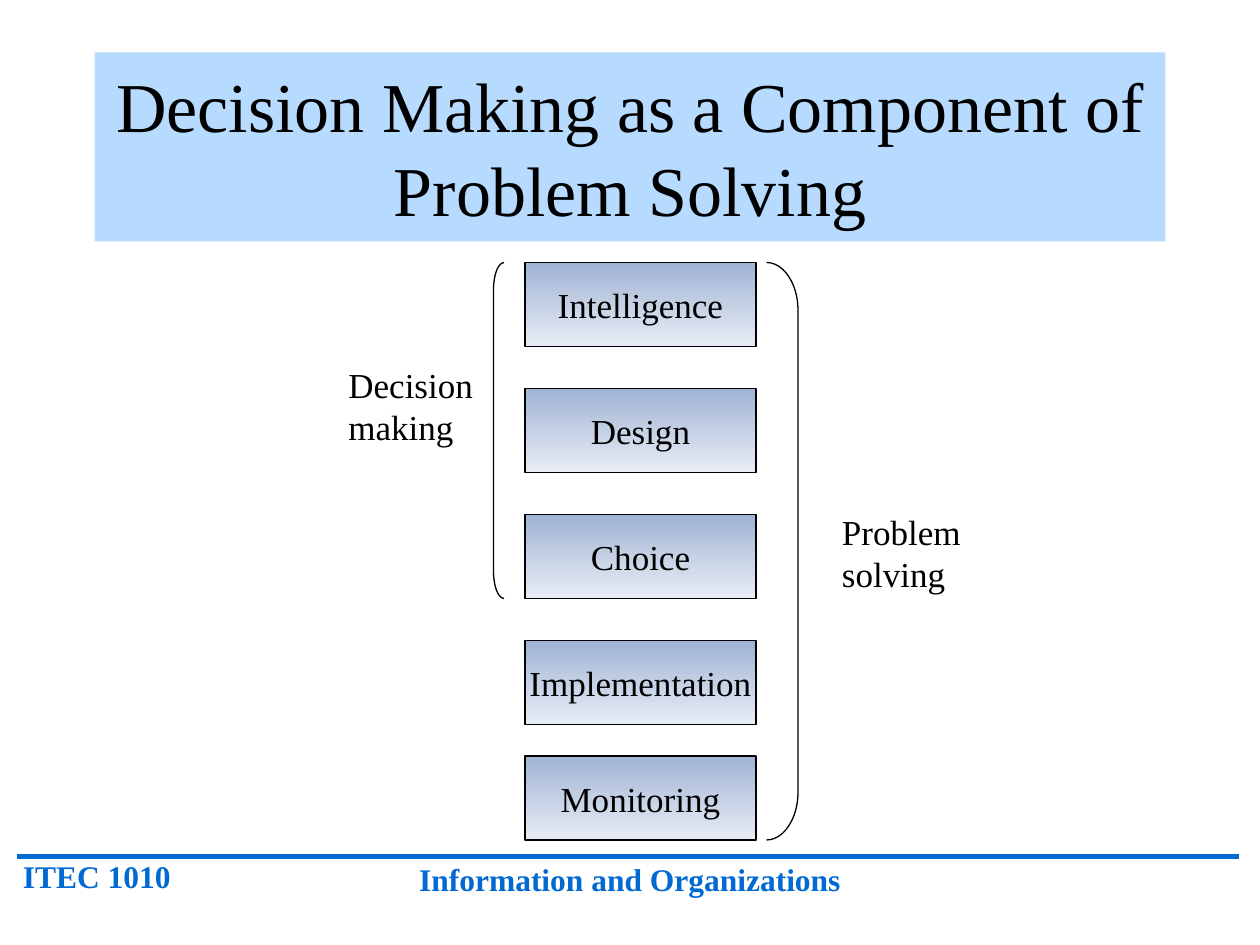
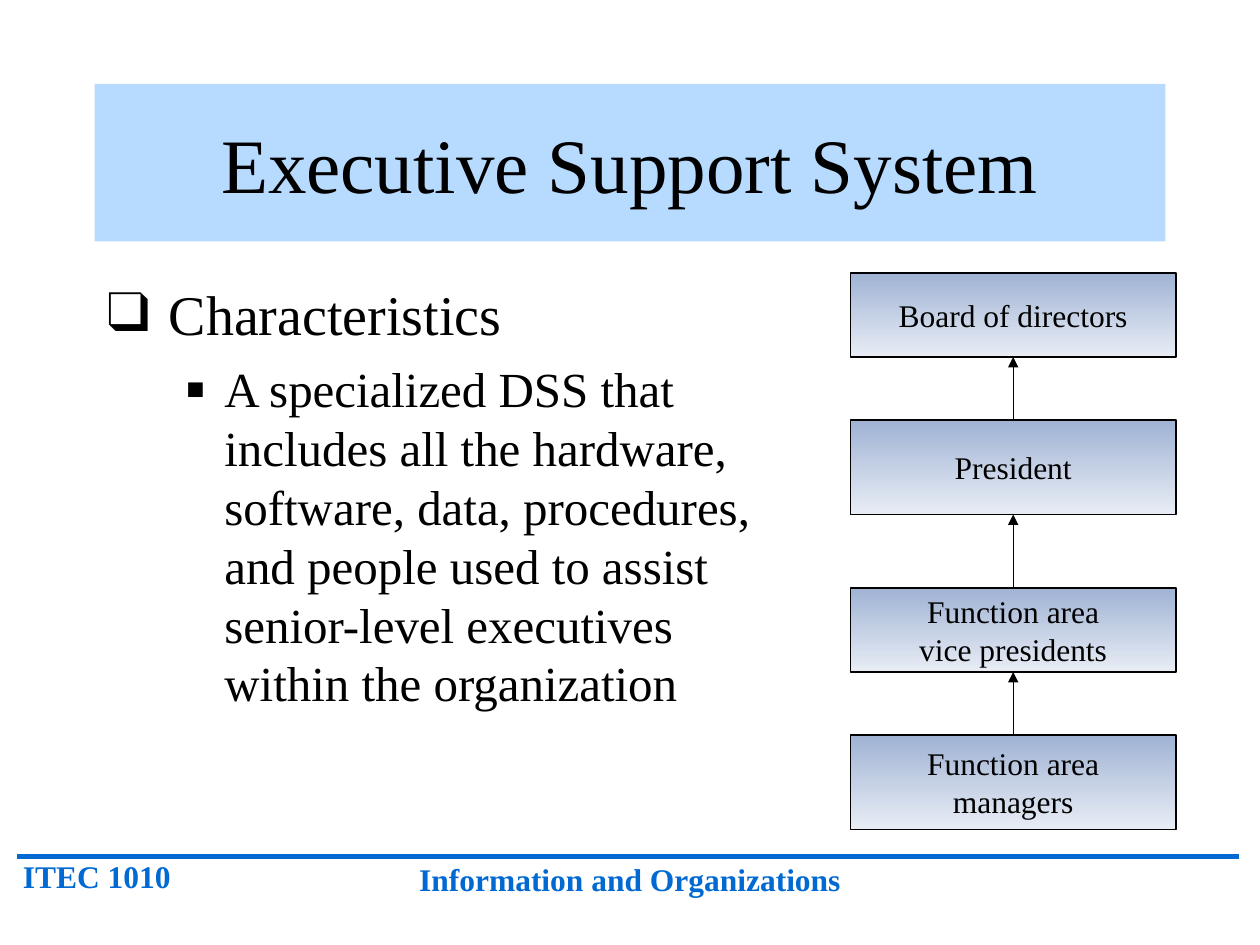
"""Build two course slides on decision making and executive support systems."""
from dataclasses import dataclass
from itertools import pairwise

from lxml import etree
from pptx import Presentation
from pptx.dml.color import RGBColor
from pptx.enum import shapes, text
from pptx.oxml.ns import qn
from pptx.util import Pt

FONT = "Times New Roman"
BLACK = RGBColor(0x00, 0x00, 0x00)
BLUE = RGBColor(0x00, 0x69, 0xD2)
BAND = RGBColor(0xB7, 0xDB, 0xFF)
BOX_TOP = RGBColor(0xA0, 0xB3, 0xD4)
BOX_BOTTOM = RGBColor(0xE8, 0xED, 0xF5)
TITLE_BOTTOM = 138
LEFT, CENTER = text.PP_ALIGN.LEFT, text.PP_ALIGN.CENTER


@dataclass
class Area:
    left: float
    top: float
    width: float
    height: float

    def lengths(self) -> tuple:
        return Pt(self.left), Pt(self.top), Pt(self.width), Pt(self.height)


@dataclass
class Label:
    words: str
    area: Area
    size: float = 20
    color: RGBColor = BLACK
    bold: bool = False
    align: text.PP_ALIGN = LEFT
    space_before: float = 12.5


@dataclass
class Stage:
    words: str
    area: Area
    size: float


@dataclass
class Bracket:
    kind: shapes.MSO_SHAPE
    area: Area
    curve: float


@dataclass
class Bullet:
    words: str
    size: float
    level: int
    symbol: str
    symbol_percent: int
    margin: float
    hanging: float
    space_before: float


FOOTERS = [
    Label("ITEC 1010", Area(6, 486, 120, 29), 18, BLUE, True, LEFT, 11.2),
    Label("Information and Organizations", Area(186, 488, 348, 29), 18, BLUE, True, CENTER, 11.2),
]
PHASE_TOPS = {"Intelligence": 150, "Design": 222, "Choice": 294, "Implementation": 366, "Monitoring": 432}
PHASES = [Stage(words, Area(300, top, 132, 48), 20) for words, top in PHASE_TOPS.items()]
BRACKETS = [
    Bracket(shapes.MSO_SHAPE.LEFT_BRACKET, Area(282, 150, 6, 192), 2.67),
    Bracket(shapes.MSO_SHAPE.RIGHT_BRACKET, Area(438, 150, 18, 330), 1.53),
]
BRACKET_LABELS = [
    Label("Problem\vsolving", Area(474, 288, 90, 55.4)),
    Label("Decision\vmaking", Area(192, 204, 90, 55.4)),
]
EXECUTIVES = [
    Stage(words, Area(486, top, 186, height), 18)
    for words, top, height in [
        ("Board of directors", 156, 48),
        ("President", 240, 54),
        ("Function area\vvice presidents", 336, 48),
        ("Function area\vmanagers", 420, 54),
    ]
]
BODY = Area(54, 156, 414, 324)
BULLETS = [
    Bullet("Characteristics", 32, 0, "❑", 100, 35.25, 35.25, 8),
    Bullet(
        "A specialized DSS that includes all the hardware, software, data, procedures, "
        "and people used to assist senior-level executives within the organization",
        28, 1, "▪", 120, 67, 22.3, 7,
    ),
]


def style(para, size: float, color: RGBColor = BLACK, bold: bool = False, align=LEFT) -> None:
    para.alignment = align
    para.font.name, para.font.size, para.font.bold = FONT, Pt(size), bold
    para.font.color.rgb = color


def place(shape, area: Area) -> None:
    shape.left, shape.top, shape.width, shape.height = area.lengths()


def add_label(page, label: Label) -> None:
    frame = page.shapes.add_textbox(*label.area.lengths()).text_frame
    frame.word_wrap = True
    para = frame.paragraphs[0]
    para.text = label.words
    para.space_before = Pt(label.space_before)
    style(para, label.size, label.color, label.bold, label.align)


def add_line(page, start: tuple, end: tuple, color: RGBColor, width: float):
    line = page.shapes.add_connector(shapes.MSO_CONNECTOR.STRAIGHT, *map(Pt, start + end))
    line.line.color.rgb = color
    line.line.width = Pt(width)
    etree.SubElement(line._element.spPr, qn("a:effectLst"))
    return line


def add_page(deck, layout: int, title: str, top: float, size: float):
    page = deck.slides.add_slide(deck.slide_layouts[layout])
    add_line(page, (10, 489.6), (708, 489.6), BLUE, 3)
    for footer in FOOTERS:
        add_label(page, footer)
    band = page.shapes.title
    place(band, Area(54, top, 612, TITLE_BOTTOM - top))
    band.fill.solid()
    band.fill.fore_color.rgb = BAND
    frame = band.text_frame
    frame.text = title
    frame.auto_size = text.MSO_AUTO_SIZE.NONE
    frame.vertical_anchor = text.MSO_ANCHOR.MIDDLE
    style(frame.paragraphs[0], size, align=CENTER)
    return page


def add_stage(page, stage: Stage):
    box = page.shapes.add_shape(shapes.MSO_SHAPE.RECTANGLE, *stage.area.lengths())
    box.shadow.inherit = False
    box.fill.gradient()
    box.fill.gradient_angle = 270
    for stop, color in zip(box.fill.gradient_stops, (BOX_TOP, BOX_BOTTOM)):
        stop.color.rgb = color
    box.line.color.rgb = BLACK
    box.line.width = Pt(0.75)
    frame = box.text_frame
    frame.word_wrap = False
    frame.vertical_anchor = text.MSO_ANCHOR.MIDDLE
    frame.paragraphs[0].text = stage.words
    style(frame.paragraphs[0], stage.size, align=CENTER)
    return box


def add_bracket(page, bracket: Bracket) -> None:
    shape = page.shapes.add_shape(bracket.kind, *bracket.area.lengths())
    shape.adjustments[0] = bracket.curve
    shape.shadow.inherit = False
    shape.fill.background()
    shape.line.color.rgb = BLACK
    shape.line.width = Pt(0.75)


def add_arrow(page, lower, upper) -> None:
    arrow = add_line(page, (0, 0), (0, 0), BLACK, 0.75)
    arrow.begin_connect(lower, 0)
    arrow.end_connect(upper, 2)
    etree.SubElement(arrow.line._get_or_add_ln(), qn("a:tailEnd"), type="triangle")


def add_bullet(para, bullet: Bullet) -> None:
    para.text = bullet.words
    para.level = bullet.level
    para.space_before = Pt(bullet.space_before)
    style(para, bullet.size)
    properties = para._p.get_or_add_pPr()
    properties.set("marL", str(Pt(bullet.margin)))
    properties.set("indent", str(-Pt(bullet.hanging)))
    marks = [
        etree.Element(qn("a:buSzPct"), val=str(bullet.symbol_percent * 1000)),
        etree.Element(qn("a:buFont"), typeface=FONT),
        etree.Element(qn("a:buChar"), char=bullet.symbol),
    ]
    for mark in marks:
        properties.find(qn("a:defRPr")).addprevious(mark)


def build_decision_page(deck) -> None:
    page = add_page(deck, 5, "Decision Making as a Component of Problem Solving", 30, 40)
    for phase in PHASES:
        add_stage(page, phase)
    for bracket in BRACKETS:
        add_bracket(page, bracket)
    for label in BRACKET_LABELS:
        add_label(page, label)


def build_executive_page(deck) -> None:
    page = add_page(deck, 1, "Executive Support System", 48, 44)
    body = page.placeholders[1]
    place(body, BODY)
    frame = body.text_frame
    frame.auto_size = text.MSO_AUTO_SIZE.NONE
    paras = [frame.paragraphs[0], frame.add_paragraph()]
    for para, bullet in zip(paras, BULLETS):
        add_bullet(para, bullet)
    boxes = [add_stage(page, executive) for executive in EXECUTIVES]
    for upper, lower in pairwise(boxes):
        add_arrow(page, lower, upper)


def main() -> None:
    deck = Presentation()
    deck.slide_width, deck.slide_height = Pt(720), Pt(540)
    build_decision_page(deck)
    build_executive_page(deck)
    deck.save("out.pptx")


if __name__ == "__main__":
    main()
